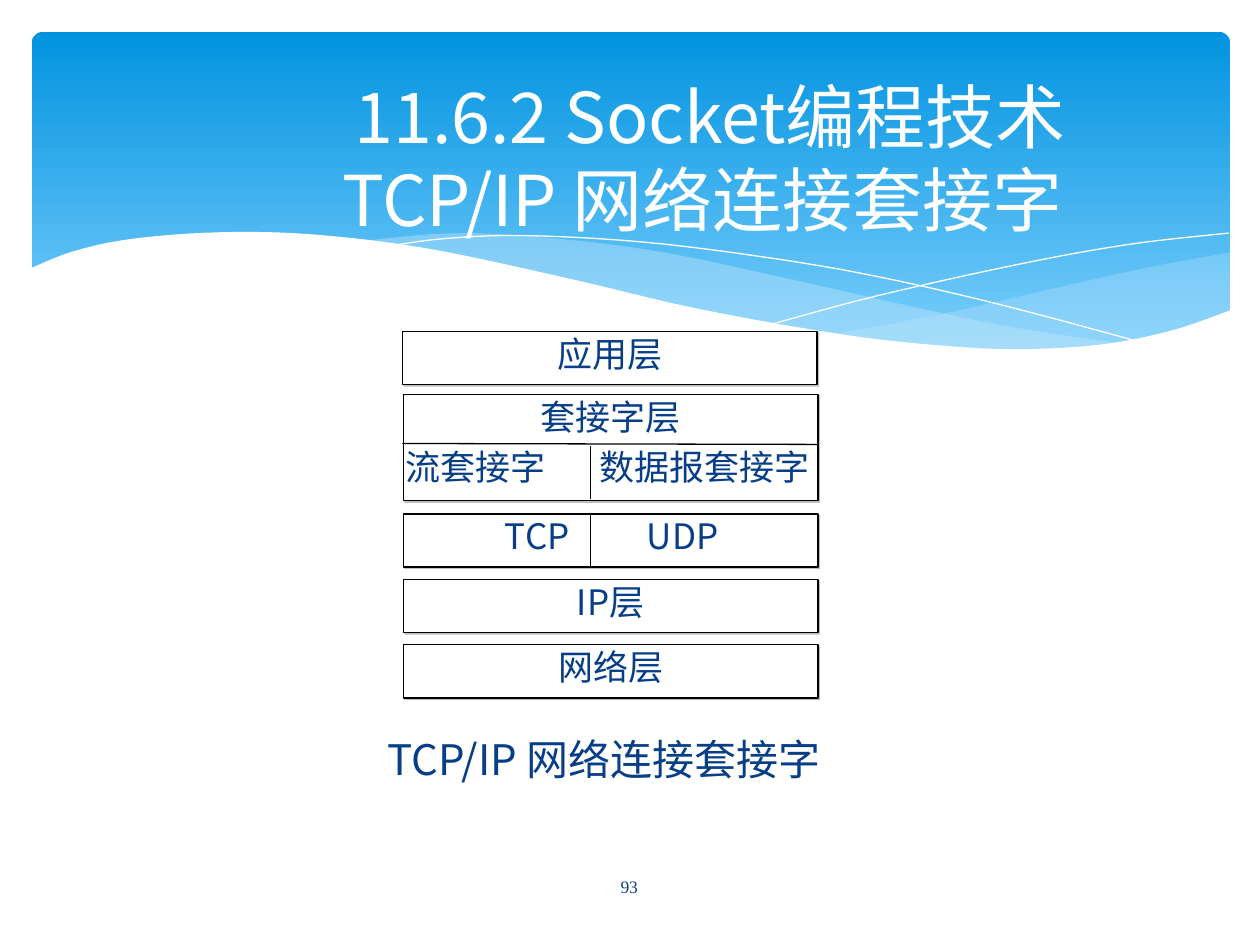
import pptx
import pptx.dml.color
import pptx.enum.dml
import pptx.enum.shapes
import pptx.enum.text
import pptx.oxml
import pptx.oxml.ns
import pptx.util
from pptx.util import Cm, Pt

SANS = "Noto Sans CJK JP"
NAVY, WHITE, BLACK, PALE = "073E87", "FFFFFF", "000000", "C6E7FC"
ALIGN = pptx.enum.text.PP_ALIGN
ANCHOR = pptx.enum.text.MSO_ANCHOR
SHAPE = pptx.enum.shapes.MSO_SHAPE

# Wave edges in cm from the header's top left corner
RIGHT_WAVE = (
    [(16.15, 6.1), (18.49, 5.66), (21.23, 5.03), (22.76, 4.7), (24.16, 4.45)],
    [(24.16, 5.64), (23.29, 5.94), (22.15, 6.22), (19.76, 6.43),
     (17.96, 6.32), (16.15, 6.1)],
)
MIDDLE_WAVE = (
    [(6.63, 4.22), (8.53, 4.06), (10.57, 4.17), (12.75, 4.45), (15.34, 5),
     (18.19, 5.64), (19.86, 5.97), (22.05, 6.3)],
    [(22.05, 6.3), (19.86, 6.45), (17.7, 6.32), (15.47, 5.99), (12.83, 5.46),
     (10.21, 4.85), (8.56, 4.52), (6.63, 4.22)],
)
FALLING_LINE = [(7.21, 4.32), (8.33, 4.17), (9.93, 4.11), (12.32, 4.24),
                (14.81, 4.55), (17.02, 4.93), (19.56, 5.51), (22.4, 6.27)]
RISING_LINE = [(14.94, 5.89), (17.02, 5.33), (19.84, 4.7), (22.1, 4.29),
               (24.13, 4.06)]
WHITE_WAVE = (
    [(-0.05, 4.78), (0.86, 4.42), (2.06, 4.17), (3.84, 4.04), (5.72, 4.09),
     (7.98, 4.37), (10.72, 4.95), (13.46, 5.59), (16.33, 6.1), (18.26, 6.32),
     (19.91, 6.4), (21.59, 6.3), (22.99, 6.02), (24.18, 5.61)],
    [(24.18, 7.72), (-0.05, 7.72)],
)


def color(value):
    return pptx.dml.color.RGBColor.from_string(value)


def add_xml(parent, tag, **attributes):
    element = pptx.oxml.parse_xml(f"<a:{tag} {pptx.oxml.ns.nsdecls('a')}/>")
    for name, value in attributes.items():
        element.set(name, str(value))
    parent.append(element)
    return element


def write(shape, text, size=20, font=SANS, ink=NAVY, align=ALIGN.CENTER,
          anchor=ANCHOR.MIDDLE, insets=(0.25, 0.13), wrap=True,
          spacing=None, before=0, tabs=()):
    """Fill the shape with one paragraph per line; lines with tabs use the stops."""
    frame = shape.text_frame
    frame.auto_size = pptx.enum.text.MSO_AUTO_SIZE.NONE
    frame.word_wrap = wrap
    frame.vertical_anchor = anchor
    frame.margin_left = frame.margin_right = Cm(insets[0])
    frame.margin_top = frame.margin_bottom = Cm(insets[1])
    for index, line in enumerate(text.split("\n")):
        paragraph = frame.add_paragraph() if index else frame.paragraphs[0]
        paragraph.text = line
        paragraph.alignment = ALIGN.LEFT if "\t" in line else align
        paragraph.space_before = Pt(before if index else 0)
        if spacing:
            paragraph.line_spacing = Pt(spacing)
        if "\t" in line:
            stops = add_xml(paragraph.alignment is not None
                            and paragraph._p.get_or_add_pPr(), "tabLst")
            for stop in tabs:
                add_xml(stops, "tab", pos=Cm(stop), algn="l")
        for run in paragraph.runs:
            run.font.size = Pt(size)
            run.font.name = font
            run.font.color.rgb = color(ink)
            add_xml(run.font._element, "ea", typeface=font)


def smooth(anchors, steps=6):
    """Points of a Catmull-Rom curve through the anchors."""
    padded = [anchors[0], *anchors, anchors[-1]]
    points = [anchors[0]]
    for a, b, c, d in zip(padded, padded[1:], padded[2:], padded[3:]):
        for step in range(1, steps + 1):
            t = step / steps
            points.append(tuple(
                (2 * q + (r - p) * t + (2 * p - 5 * q + 4 * r - s) * t ** 2
                 + (3 * q - p - 3 * r + s) * t ** 3) / 2
                for p, q, r, s in zip(a, b, c, d)))
    return points


def add_wave(slide, left, top, points, fill=None, opacity=100):
    """A filled area, or a white hairline when there is no fill."""
    places = [(Cm(left + x), Cm(top + y)) for x, y in points]
    builder = slide.shapes.build_freeform(*places[0])
    builder.add_line_segments(places[1:], close=fill is not None)
    shape = builder.convert_to_shape()
    shape.shadow.inherit = False
    if fill is None:
        shape.fill.background()
        shape.line.color.rgb = color(WHITE)
        shape.line.width = Pt(0)
        return
    shape.fill.solid()
    shape.fill.fore_color.rgb = color(fill)
    shape.line.fill.background()
    if opacity < 100:
        fill_color = shape._element.spPr.find(".//" + pptx.oxml.ns.qn("a:srgbClr"))
        add_xml(fill_color, "alpha", val=opacity * 1000)


def add_header(slide, left, top, width, height):
    band = slide.shapes.add_shape(SHAPE.ROUNDED_RECTANGLE, Cm(left), Cm(top),
                                  Cm(width), Cm(height))
    band.adjustments[0] = 0.034
    band.shadow.inherit = False
    band.line.fill.background()
    band.fill.gradient()
    band.fill.gradient_angle = 270
    for stop, position, shade in zip(band.fill.gradient_stops, (0, 1),
                                     ("0293E0", "83D3FE")):
        stop.position = position
        stop.color.rgb = color(shade)
    for (upper, lower), opacity in ((RIGHT_WAVE, 29), (MIDDLE_WAVE, 40)):
        add_wave(slide, left, top, smooth(upper) + smooth(lower), PALE, opacity)
    for line in (FALLING_LINE, RISING_LINE):
        add_wave(slide, left, top, smooth(line))
    crest, base = WHITE_WAVE
    add_wave(slide, left, top, smooth(crest) + base, WHITE)


def place_title(slide, text, left, top, width, height):
    title = slide.shapes.title
    title.left, title.top = Cm(left), Cm(top)
    title.width, title.height = Cm(width), Cm(height)
    write(title, text, size=40, ink=WHITE, spacing=47.4)
    title.element.getparent().append(title.element)  # in front of the header


def add_layer(slide, text, left, top, width, height, tabs=()):
    box = slide.shapes.add_shape(SHAPE.RECTANGLE, Cm(left), Cm(top),
                                 Cm(width), Cm(height))
    box.fill.solid()
    box.fill.fore_color.rgb = color(WHITE)
    box.line.color.rgb = color(BLACK)
    box.line.width = Pt(0.75)
    box.shadow.inherit = False
    effects = box._element.spPr.find(pptx.oxml.ns.qn("a:effectLst"))
    shadow = add_xml(effects, "outerShdw", blurRad=0, dist=Pt(1.4),
                     dir=45 * 60000, algn="ctr", rotWithShape=0)
    add_xml(add_xml(shadow, "srgbClr", val="808080"), "alpha", val=50000)
    write(box, text, anchor=ANCHOR.TOP, insets=(0.05, 0.03), spacing=23.7,
          before=5, tabs=tabs)


def add_divider(slide, x1, y1, x2, y2):
    line = slide.shapes.add_connector(pptx.enum.shapes.MSO_CONNECTOR.STRAIGHT,
                                      Cm(x1), Cm(y1), Cm(x2), Cm(y2))
    line.line.color.rgb = color(BLACK)
    line.line.width = Pt(0.75)
    add_xml(line._element.spPr, "effectLst")


def add_protocol_stack(slide, left, top, width):
    row, pitch, middle = 1.07, 1.32, 3.78
    sockets, transport = top + 1.27, top + 3.68
    add_layer(slide, "应用层", left - 0.02, top, width, row)
    add_layer(slide, "套接字层\n流套接字\t数据报套接字", left, sockets, width,
              2 * row, tabs=(3.9,))
    layers = (("\tTCP\tUDP", (2.0, 4.86)), ("IP层", ()), ("网络层", ()))
    for index, (text, tabs) in enumerate(layers):
        add_layer(slide, text, left, transport + index * pitch, width, row, tabs)
    for y in (transport, sockets + 1.04):
        add_divider(slide, left + middle, y, left + middle, y + row)
    add_divider(slide, left - 0.02, sockets + 0.99, left + width, sockets + 1.01)


def add_label(slide, text, left, top, width, height, **formatting):
    label = slide.shapes.add_textbox(Cm(left), Cm(top), Cm(width), Cm(height))
    write(label, text, **formatting)


def main():
    presentation = pptx.Presentation()
    presentation.slide_width, presentation.slide_height = Cm(25.4), Cm(19.05)
    slide = presentation.slides.add_slide(presentation.slide_layouts[5])
    add_header(slide, 0.64, 0.64, 24.16, 6.86)
    place_title(slide, "11.6.2 Socket编程技术\vTCP/IP 网络连接套接字 ",
                4.5, 1.93, 19.63, 2.49)
    add_protocol_stack(slide, 8.13, 6.68, 8.36)
    add_label(slide, "TCP/IP 网络连接套接字", 7.57, 14.66, 9.68, 1.27,
              size=24, align=ALIGN.LEFT, wrap=False)
    add_label(slide, "93", 11.07, 17.37, 3.23, 1.02, size=10,
              font="Times New Roman")
    presentation.save("out.pptx")


if __name__ == "__main__":
    main()
